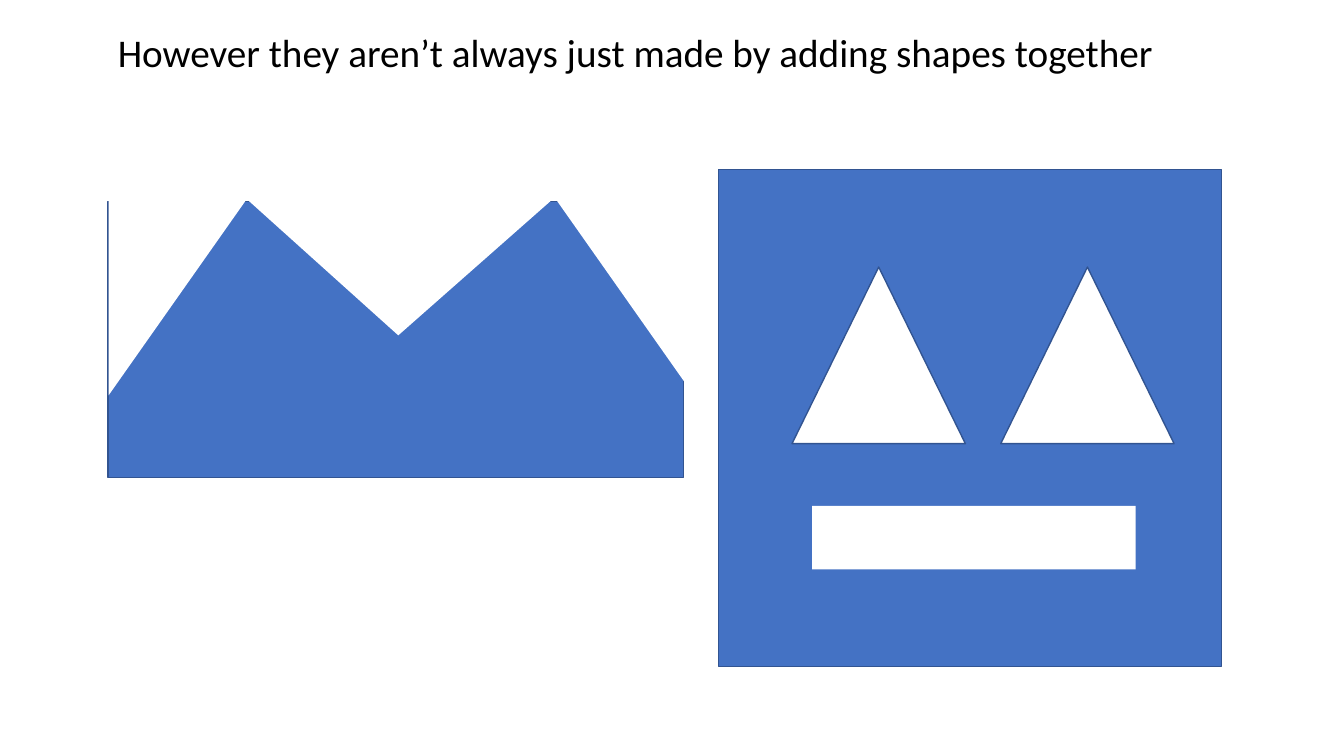
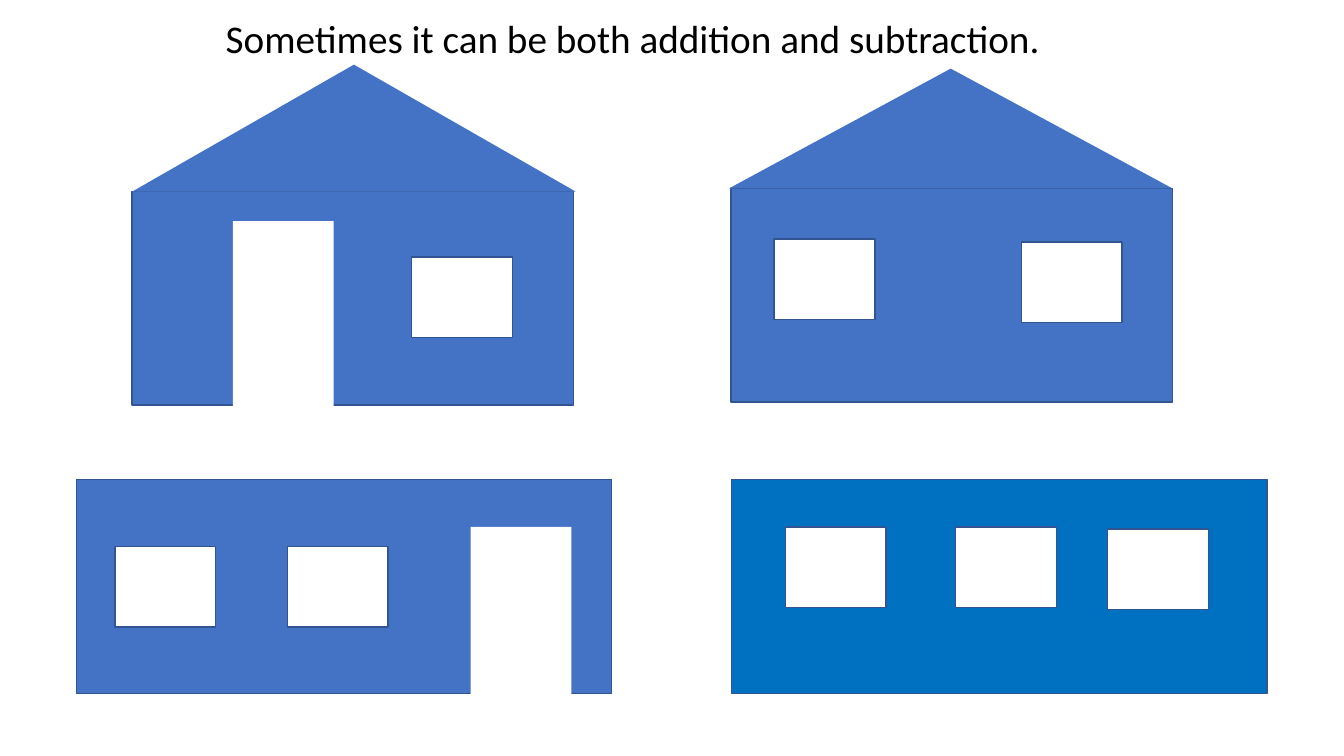
from pptx import Presentation
from pptx.dml.color import RGBColor
from pptx.enum.shapes import MSO_SHAPE
from pptx.util import Cm, Pt

BLUE, BRIGHT, WHITE = "4472C4", "0070C0", "FFFFFF"
OUTLINE, BLACK = "325491", "000000"
FONT = "Calibri"
WINDOW_W, WINDOW_H = 2.54, 2.03
WALL_H = 5.38


def rgb(value):
    return RGBColor.from_string(value)


def add_part(s, kind, x, y, w, h, color=WHITE, line=None, angle=0):
    sp = s.shapes.add_shape(kind, Cm(x), Cm(y), Cm(w), Cm(h))
    sp.shadow.inherit = False
    sp.rotation = angle
    sp.fill.solid()
    sp.fill.fore_color.rgb = rgb(color)
    if line:
        sp.line.color.rgb = rgb(line)
        sp.line.width = Pt(1)
    else:
        sp.line.fill.background()
    return sp


def add_text(s, text, x, y, w, h, size=28, color=BLACK, font=FONT):
    tf = s.shapes.add_textbox(Cm(x), Cm(y), Cm(w), Cm(h)).text_frame
    tf.word_wrap = True
    r = tf.paragraphs[0].add_run()
    r.text = text
    r.font.size = Pt(size)
    r.font.name = font
    r.font.color.rgb = rgb(color)


def add_titled_slide(prs, title, x, y):
    s = prs.slides.add_slide(prs.slide_layouts[6])
    add_text(s, title, x, y, 28.4, 1.45)
    return s


def add_mountains(s, x, y, w, h):
    add_part(s, MSO_SHAPE.RECTANGLE, x, y, w, h, BLUE, OUTLINE)
    add_part(s, MSO_SHAPE.RIGHT_TRIANGLE, x - 0.71, y + 0.71, 4.9, 3.45, angle=90)
    add_part(s, MSO_SHAPE.RIGHT_TRIANGLE, x + w - 3.29, y - 0.17, 3.45, 4.9, angle=180)
    valley = add_part(s, MSO_SHAPE.ISOSCELES_TRIANGLE,
                      x + 3.48, y - 0.08, 7.75, 3.45, angle=180)
    valley.adjustments[0] = 0.505


def add_face(s, x, y, w, h):
    add_part(s, MSO_SHAPE.RECTANGLE, x, y, w, h, BLUE, OUTLINE)
    for i in range(2):
        add_part(s, MSO_SHAPE.ISOSCELES_TRIANGLE,
                 x + 1.85 + 5.26 * i, y + 2.46, 4.37, 4.45, line=OUTLINE)
    add_part(s, MSO_SHAPE.RECTANGLE, x + 2.36, y + 8.48, 8.15, 1.6)


def add_building(s, x, y, w, windows, door=None, color=BLUE):
    add_part(s, MSO_SHAPE.RECTANGLE, x, y, w, WALL_H, color, OUTLINE)
    for dx, dy in windows:
        add_part(s, MSO_SHAPE.RECTANGLE, x + dx, y + dy,
                 WINDOW_W, WINDOW_H, line=OUTLINE)
    if door:
        dx, dy, door_h = door
        add_part(s, MSO_SHAPE.RECTANGLE, x + dx, y + dy, WINDOW_W, door_h)


def add_house(s, x, y, windows, roof_x, roof_h, door=None):
    add_building(s, x, y, 11.13, windows, door)
    add_part(s, MSO_SHAPE.ISOSCELES_TRIANGLE, x + roof_x, y - roof_h, 11.18, roof_h, BLUE)


def add_bungalow(s, x, y, windows, door=None, color=BLUE):
    add_building(s, x, y, 13.49, windows, door, color)


def build_subtraction(prs):
    s = add_titled_slide(
        prs, "However they aren’t always just made by adding shapes together", 2.72, 0.58)
    add_mountains(s, 2.72, 5.08, 14.5, 6.96)
    add_face(s, 18.11, 4.27, 12.67, 12.52)


def build_both(prs):
    s = add_titled_slide(
        prs, "Sometimes it can be both addition and subtraction.", 5.44, 0.23)
    add_house(s, 3.33, 4.83, [(7.04, 1.65)], 0, 3.2, door=(2.54, 0.74, 4.67))
    add_house(s, 18.42, 4.75, [(1.09, 1.27), (7.32, 1.35)], -0.05, 3.02)
    add_bungalow(s, 1.93, 12.09, [(0.97, 1.68), (5.31, 1.68)], door=(9.93, 1.19, 4.29))
    add_bungalow(s, 18.44, 12.09, [(1.35, 1.19), (5.64, 1.19), (9.47, 1.24)], color=BRIGHT)


def main():
    prs = Presentation()
    prs.slide_width, prs.slide_height = Cm(33.87), Cm(19.05)
    build_subtraction(prs)
    build_both(prs)
    prs.save("out.pptx")


if __name__ == "__main__":
    main()
